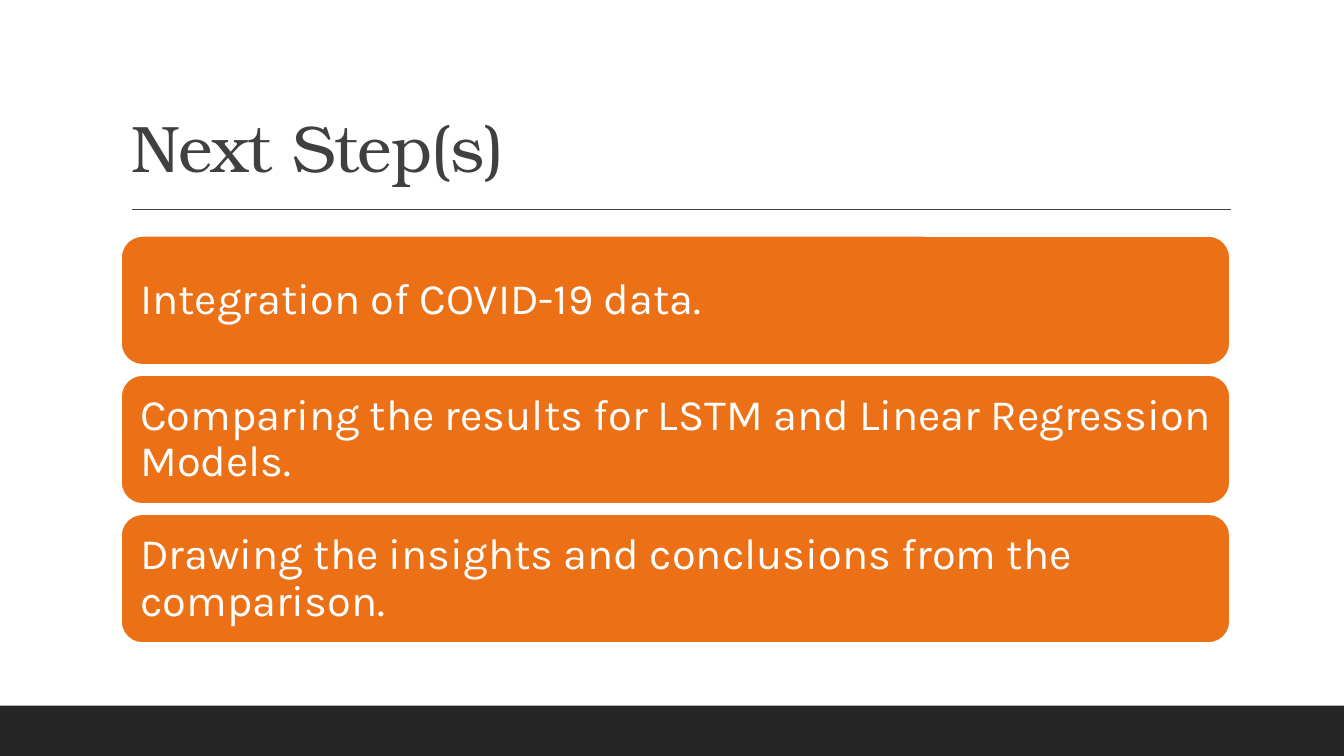
import pptx
import pptx.dml.color
import pptx.enum.shapes
import pptx.enum.text
import pptx.oxml
import pptx.util

Inches = pptx.util.Inches
Pt = pptx.util.Pt
Shape = pptx.enum.shapes.MSO_SHAPE
Align = pptx.enum.text.PP_ALIGN
Anchor = pptx.enum.text.MSO_ANCHOR

COLORS = {"dark": "262626", "gray": "404040", "orange": "EC7016", "white": "FFFFFF"}
STEPS = [
    "Integration of COVID-19 data.",
    "Comparing the results for LSTM and Linear Regression Models.",
    "Drawing the insights and conclusions from the comparison.",
]


def color(name):
    """Return the named colour."""
    return pptx.dml.color.RGBColor.from_string(COLORS[name])


def write(shape, text, font, size, ink, anchor):
    """Set one left-aligned paragraph in a shape."""
    frame = shape.text_frame
    frame.text = text
    frame.word_wrap = True
    frame.auto_size = pptx.enum.text.MSO_AUTO_SIZE.NONE
    frame.vertical_anchor = anchor
    para = frame.paragraphs[0]
    para.alignment = Align.LEFT
    para.line_spacing = 0.9
    run = para.runs[0]
    run.font.name = font
    run.font.size = Pt(size)
    run.font.color.rgb = color(ink)


def block(slide, kind, left, top, width, height, fill):
    """Add a filled shape without line or shadow."""
    shape = slide.shapes.add_shape(
        kind, Inches(left), Inches(top), Inches(width), Inches(height))
    shape.shadow.inherit = False
    shape.fill.solid()
    shape.fill.fore_color.rgb = color(fill)
    shape.line.fill.background()
    return shape


def footer(slide, left, top, width, height):
    """Draw the dark band at the foot."""
    block(slide, Shape.RECTANGLE, left, top, width, height, "dark")


def header(slide, left, top, width, height):
    """Place the title and the rule below it."""
    title = slide.shapes.title
    title.left, title.top = Inches(left), Inches(top)
    title.width, title.height = Inches(width), Inches(height)
    write(title, "Next Step(s)", "TeX Gyre Bonum", 47, "gray", Anchor.BOTTOM)
    title.element.xpath(".//a:rPr")[0].set("spc", "-50")
    level = Inches(top + height + 0.18)
    rule = slide.shapes.add_connector(
        pptx.enum.shapes.MSO_CONNECTOR.STRAIGHT,
        Inches(left + 0.11), level, Inches(left + width + 0.01), level)
    rule.line.color.rgb = color("gray")
    rule.line.width = Pt(1)
    rule.element.spPr.append(pptx.oxml.parse_xml(
        '<a:effectLst xmlns:a="http://schemas.openxmlformats.org/drawingml/2006/main"/>'))


def steps(slide, left, top, width, height, gap=0.1):
    """Stack the step cards evenly in the box."""
    tall = (height - gap * (len(STEPS) - 1)) / len(STEPS)
    for index, text in enumerate(STEPS):
        card = block(slide, Shape.ROUNDED_RECTANGLE, left,
                     top + index * (tall + gap), width, tall, "orange")
        card.line.color.rgb = color("white")
        card.line.width = Pt(1.25)
        write(card, text, "Karla", 31, "white", Anchor.MIDDLE)
        frame = card.text_frame
        frame.margin_left = frame.margin_right = Inches(0.13)
        frame.margin_top = frame.margin_bottom = Inches(0.13)


def main():
    """Build and save the slide."""
    deck = pptx.Presentation()
    deck.slide_width, deck.slide_height = Inches(13.33), Inches(7.5)
    slide = deck.slides.add_slide(deck.slide_layouts[5])
    footer(slide, 0, 7, 13.33, 0.5)
    header(slide, 1.2, 0.31, 11, 1.59)
    steps(slide, 1.2, 2.34, 11, 4.04)
    deck.save("out.pptx")


if __name__ == "__main__":
    main()
